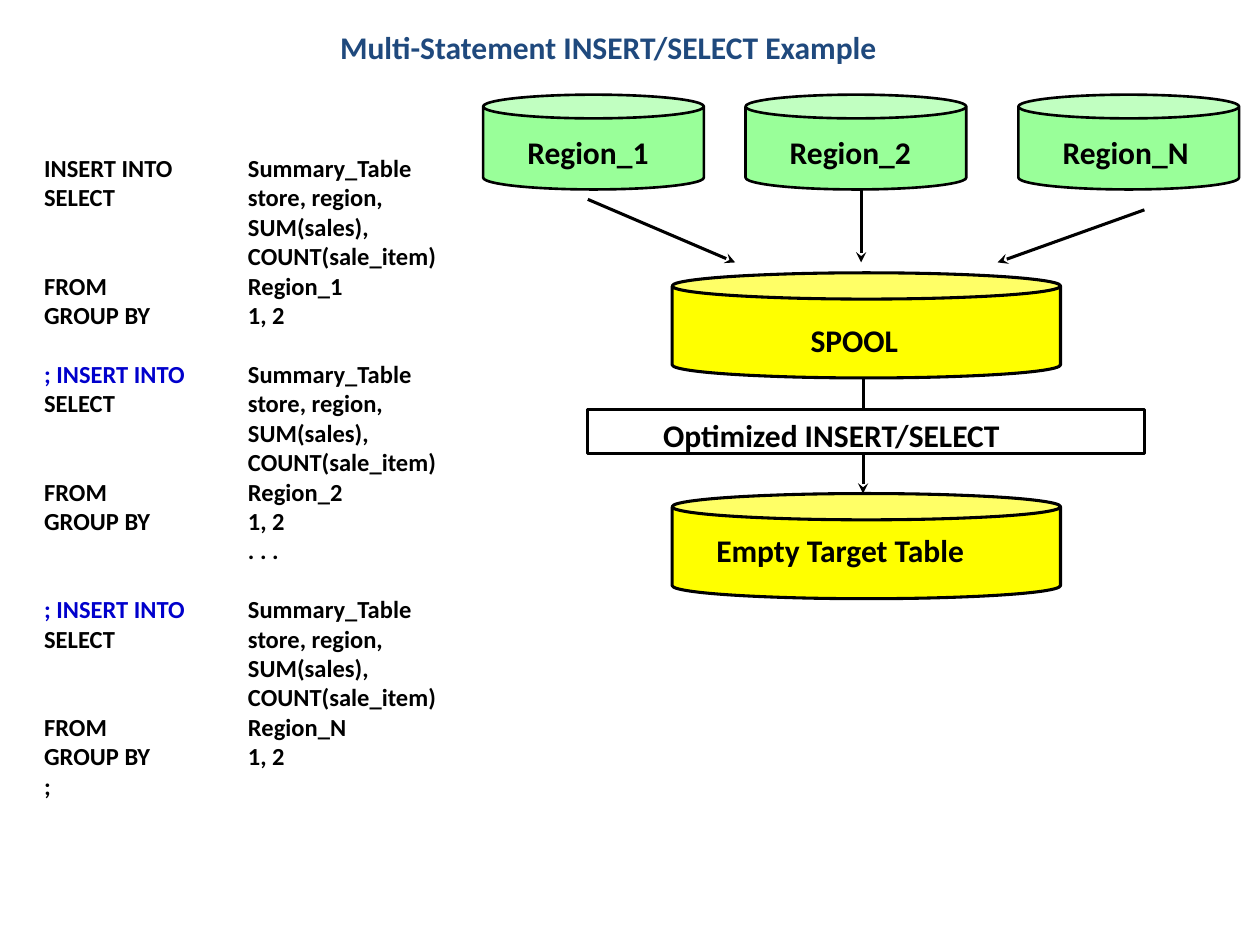
"""Build the multi-statement INSERT/SELECT example slide."""
from dataclasses import dataclass

from lxml.etree import SubElement
from pptx import Presentation
from pptx.dml.color import RGBColor
from pptx.enum.shapes import MSO_CONNECTOR as Connector, MSO_SHAPE as Shape
from pptx.enum.text import MSO_ANCHOR as Anchor, MSO_AUTO_SIZE as AutoSize, PP_ALIGN as Align
from pptx.oxml.ns import qn
from pptx.util import Cm, Pt

COLOURS = {"title": "1F497D", "ink": "000000", "keyword": "0000CC",
           "region": "99FF99", "store": "FFFF00", "step": "FFFFFF"}
TAB_STOP = Cm(4.11)
BLOCK_GAP = Pt(16.8)


@dataclass
class Node:
    text: str
    kind: int
    fill: str
    left: float
    top: float
    width: float
    height: float
    line: float
    label_x: float = 0.64
    label_y: float = 0.64


@dataclass
class Arrow:
    x1: float
    y1: float
    x2: float
    y2: float


@dataclass
class Query:
    opening: str
    colour: str
    region: str
    ending: str = ""


REGIONS = [Node(f"Region_{suffix}", Shape.CAN, "region", left, 1.91, 4.45, 1.91, 1.5)
           for suffix, left in (("1", 9.74), ("2", 15.03), ("N", 20.53))]
NODES = [
    Node("SPOOL", Shape.CAN, "store", 13.55, 5.5, 7.83, 2.12, 1.75, 2.54, 0.85),
    Node("Optimized INSERT/SELECT", Shape.RECTANGLE, "step",
         11.85, 8.26, 11.22, 0.89, 1.5, 1.27, 0),
    *REGIONS,
    Node("Empty Target Table", Shape.CAN, "store", 13.55, 9.95, 7.83, 2.12, 1.75),
]
ARROWS = [
    Arrow(17.4, 7.62, 17.4, 9.95),
    Arrow(11.85, 4.02, 14.82, 5.29),
    Arrow(17.36, 3.81, 17.36, 5.29),
    Arrow(23.07, 4.23, 20.11, 5.29),
]
QUERIES = [
    Query("INSERT INTO", "ink", "Region_1"),
    Query("; INSERT INTO", "keyword", "Region_2", "\t. . ."),
    Query("; INSERT INTO", "keyword", "Region_N", ";"),
]


def rgb(name: str) -> RGBColor:
    return RGBColor.from_string(COLOURS[name])


def apply(target, values: dict) -> None:
    for name, value in values.items():
        setattr(target, name, value)


def add_run(paragraph, text: str, size: float, colour: str = "ink") -> None:
    run = paragraph.add_run()
    run.text = text
    apply(run.font, {"name": "Calibri", "size": Pt(size), "bold": True})
    run.font.color.rgb = rgb(colour)


def add_text_frame(slide, left: float, top: float, width: float, height: float):
    box = slide.shapes.add_textbox(Cm(left), Cm(top), Cm(width), Cm(height))
    box.text_frame.word_wrap = True
    return box.text_frame


def format_title(slide) -> None:
    title = slide.shapes.title
    apply(title, {"left": Cm(6.55), "top": Cm(0.43), "width": Cm(11.43), "height": Cm(1.02)})
    apply(title.text_frame, {"word_wrap": False, "auto_size": AutoSize.NONE,
                             "vertical_anchor": Anchor.TOP})
    paragraph = title.text_frame.paragraphs[0]
    paragraph.alignment = Align.CENTER
    add_run(paragraph, "Multi-Statement INSERT/SELECT Example", 18, "title")


def add_arrow(slide, arrow: Arrow) -> None:
    connector = slide.shapes.add_connector(
        Connector.STRAIGHT, Cm(arrow.x1), Cm(arrow.y1), Cm(arrow.x2), Cm(arrow.y2))
    connector.line.color.rgb = rgb("ink")
    connector.line.width = Pt(1.75)
    SubElement(connector.line._get_or_add_ln(), qn("a:tailEnd"), type="stealth")
    SubElement(connector._element.spPr, qn("a:effectLst"))


def add_node(slide, node: Node) -> None:
    shape = slide.shapes.add_shape(
        node.kind, Cm(node.left), Cm(node.top), Cm(node.width), Cm(node.height))
    shape.shadow.inherit = False
    shape.fill.solid()
    shape.fill.fore_color.rgb = rgb(node.fill)
    shape.line.color.rgb = rgb("ink")
    shape.line.width = Pt(node.line)
    frame = add_text_frame(slide, node.left + node.label_x, node.top + node.label_y,
                           node.width - node.label_x, 1.02)
    add_run(frame.paragraphs[0], node.text, 18)


def add_queries(slide) -> None:
    frame = add_text_frame(slide, 0.64, 2.96, 10.58, 13.25)
    paragraph = frame.paragraphs[0]
    for index, query in enumerate(QUERIES):
        if index:
            paragraph = frame.add_paragraph()
            paragraph.space_before = BLOCK_GAP
        add_run(paragraph, f"{query.opening}\t", 14, query.colour)
        add_run(paragraph, "Summary_Table", 14)
        lines = ["SELECT\tstore, region,", "\tSUM(sales),", "\tCOUNT(sale_item)",
                 f"FROM\t{query.region}", "GROUP BY\t1, 2"]
        for line in lines + ([query.ending] if query.ending else []):
            add_run(frame.add_paragraph(), line, 14)
    for paragraph in frame.paragraphs:
        tabs = SubElement(paragraph._p.get_or_add_pPr(), qn("a:tabLst"))
        SubElement(tabs, qn("a:tab"), pos=str(TAB_STOP), algn="l")


def main() -> None:
    presentation = Presentation()
    apply(presentation, {"slide_width": Cm(25.4), "slide_height": Cm(19.05)})
    slide = presentation.slides.add_slide(presentation.slide_layouts[5])
    format_title(slide)
    for arrow in ARROWS:
        add_arrow(slide, arrow)
    for node in NODES:
        add_node(slide, node)
    add_queries(slide)
    presentation.save("out.pptx")


main()
